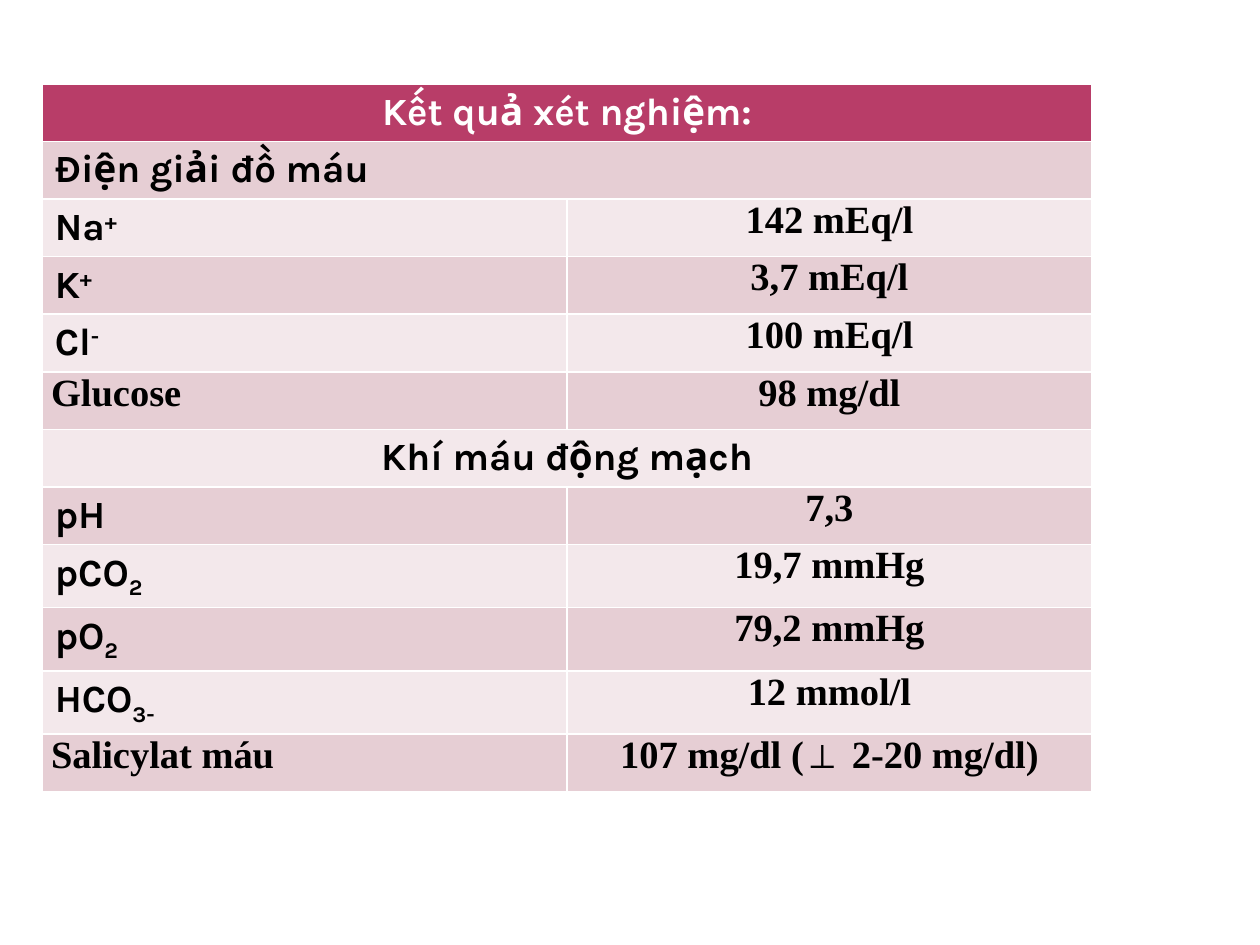
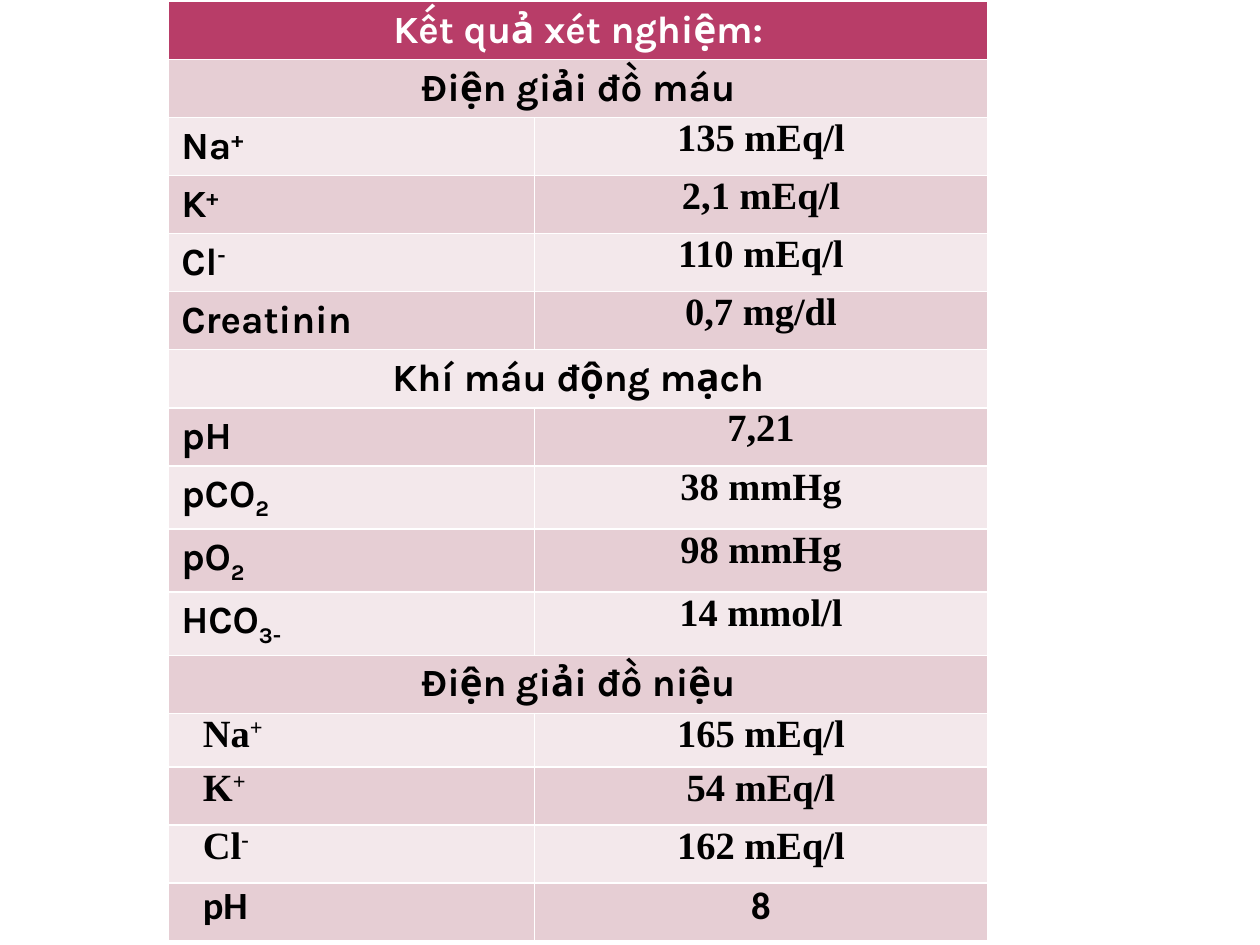
from pptx import Presentation
from pptx import util as u
from pptx.dml.color import RGBColor
from pptx.enum import text

BLACK = RGBColor(0x00, 0x00, 0x00)
WHITE = RGBColor(0xFF, 0xFF, 0xFF)
HEADER = RGBColor(0xB8, 0x3D, 0x68)
BANDS = [RGBColor(0xF3, 0xE8, 0xEB), RGBColor(0xE6, 0xCE, 0xD4)]

LEFT, CENTER = text.PP_ALIGN.LEFT, text.PP_ALIGN.CENTER
SHIFTS = {"^": 30000, "_": -25000}
TIGHT = dict(margin_left=u.Cm(0.18), margin_right=u.Cm(0.18), margin_top=0, margin_bottom=0)
INDENT = u.Cm(0.51)

KARLA = dict(name="Karla", margins={}, indent=0)
TIMES = dict(name="Times New Roman", margins=TIGHT, indent=0)
TIMES_INDENTED = dict(TIMES, indent=INDENT)
CALIBRI = dict(TIMES, name="Calibri")
CALIBRI_INDENTED = dict(CALIBRI, indent=INDENT)

TITLE = "Kết quả xét nghiệm:"
BLOOD_IONS = "Điện giải đồ máu"
BLOOD_GASES = "Khí máu động mạch"
URINE_IONS = "Điện giải đồ niệu"
IONS = ["Na^+", "K^+", "Cl^-"]
GASES = ["pH", "pCO_2", "pO_2", "HCO_3-"]


def heading(title, align=CENTER):
    return [(title, align, KARLA)]


def result(label, value, label_style=KARLA, value_style=TIMES):
    return [(label, LEFT, label_style), (value, CENTER, value_style)]


def results(labels, values, label_style=KARLA):
    return [result(label, value, label_style) for label, value in zip(labels, values)]


def add_run(p, words, name, color, shift=0):
    r = p.add_run()
    r.text = words
    for key, value in dict(name=name, size=u.Pt(22), bold=True).items():
        setattr(r.font, key, value)
    r.font.color.rgb = color
    if shift:
        r.font._element.set("baseline", str(shift))


def fill_cell(cell, words, align, style, color):
    for key, value in style["margins"].items():
        setattr(cell, key, value)
    p = cell.text_frame.paragraphs[0]
    p.alignment = align
    if style["indent"]:
        p._p.get_or_add_pPr().set("marL", str(style["indent"]))
    mark = next((m for m in SHIFTS if m in words), None)
    base, script = words.split(mark) if mark else (words, "")
    add_run(p, base, style["name"], color)
    if script:
        add_run(p, script, style["name"], color, SHIFTS[mark])


def add_results_table(prs, left, top, widths, heights, rows):
    s = prs.slides.add_slide(prs.slide_layouts[6])
    frame = s.shapes.add_table(len(rows), len(widths), u.Cm(left), u.Cm(top),
                               u.Cm(sum(widths)), u.Cm(sum(heights)))
    table = frame.table
    for column, width in zip(table.columns, widths):
        column.width = u.Cm(width)
    for i, (row, height) in enumerate(zip(rows, heights)):
        table.rows[i].height = u.Cm(height)
        for cell in table.rows[i].cells:
            cell.fill.solid()
            cell.fill.fore_color.rgb = BANDS[i % 2] if i else HEADER
        if len(row) == 1:
            table.cell(i, 0).merge(table.cell(i, 1))
        for j, (words, align, style) in enumerate(row):
            fill_cell(table.cell(i, j), words, align, style, BLACK if i else WHITE)


def main():
    prs = Presentation()
    prs.slide_width, prs.slide_height = u.Cm(25.4), u.Cm(19.05)

    salicylate_case = [
        heading(TITLE),
        heading(BLOOD_IONS, LEFT),
        *results(IONS, ["142 mEq/l", "3,7 mEq/l", "100 mEq/l"]),
        result("Glucose", "98 mg/dl", TIMES),
        heading(BLOOD_GASES),
        *results(GASES, ["7,3", "19,7 mmHg", "79,2 mmHg", "12 mmol/l"]),
        result("Salicylat máu", "107 mg/dl (⊥ 2-20 mg/dl)", TIMES),
    ]
    add_results_table(prs, 0.85, 1.69, [10.58, 10.58], [1.16] * 12, salicylate_case)

    urine_case = [
        heading(TITLE),
        heading(BLOOD_IONS),
        *results(IONS, ["135 mEq/l", "2,1 mEq/l", "110 mEq/l"]),
        result("Creatinin", "0,7 mg/dl"),
        heading(BLOOD_GASES),
        *results(GASES, ["7,21", "38 mmHg", "98 mmHg", "14 mmol/l"]),
        heading(URINE_IONS),
        *results(IONS, ["165 mEq/l", "54 mEq/l", "162 mEq/l"], TIMES_INDENTED),
        result("pH", "8", CALIBRI_INDENTED, CALIBRI),
    ]
    heights = [1.17] * 12 + [1.08] + [1.17] * 3
    add_results_table(prs, 3.4, 0.03, [7.37, 9.14], heights, urine_case)

    prs.save("out.pptx")


if __name__ == "__main__":
    main()
